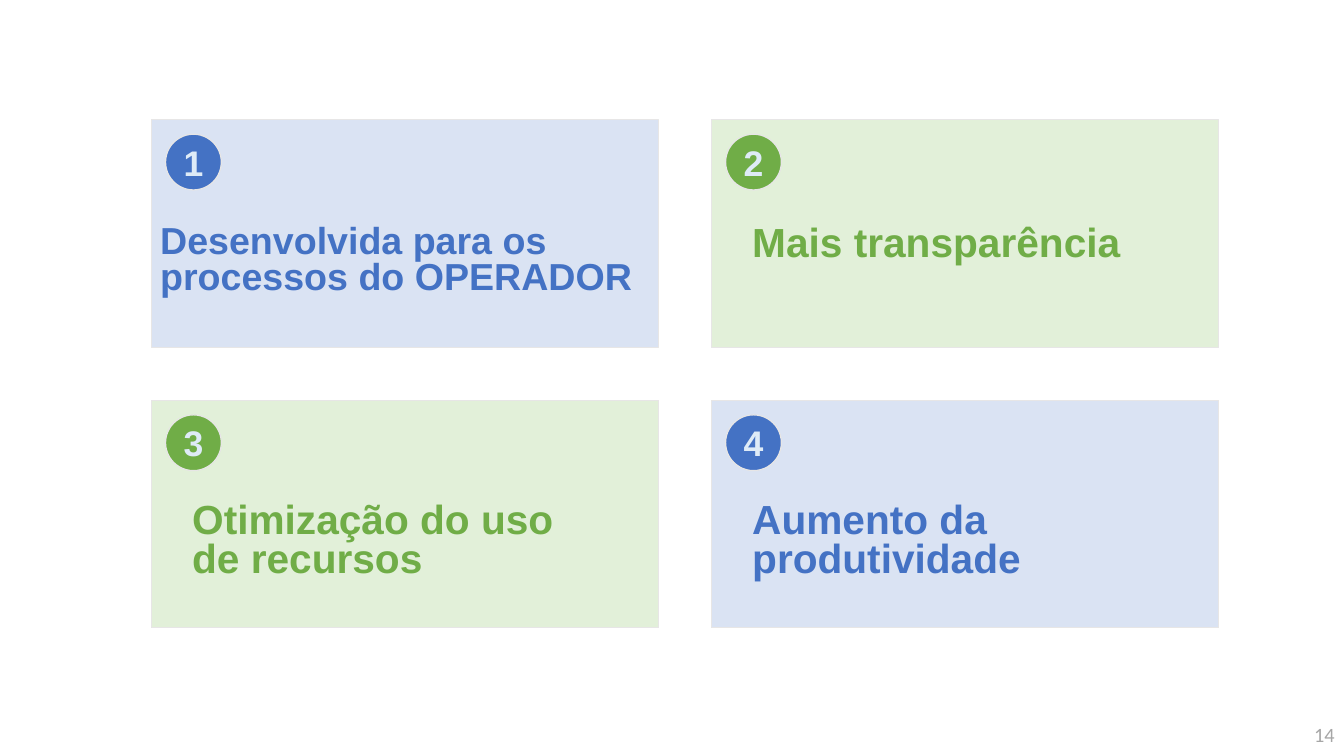
from pptx import Presentation
from pptx.dml.color import RGBColor
from pptx.enum import shapes, text
from pptx.util import Cm, Pt

BLUE = RGBColor(0x44, 0x72, 0xC4)
PALE_BLUE = RGBColor(0xDA, 0xE3, 0xF3)
GREEN = RGBColor(0x70, 0xAD, 0x47)
PALE_GREEN = RGBColor(0xE2, 0xF0, 0xD9)
BORDER = RGBColor(0xE7, 0xE6, 0xE6)
BADGE_TEXT = RGBColor(0xDE, 0xEB, 0xF7)
GREY = RGBColor(0xA6, 0xA6, 0xA6)

LEFT, TOP = Cm(4.2), Cm(3.33)
CARD_WIDTH, CARD_HEIGHT = Cm(14.1), Cm(6.32)
COLUMN_STEP, ROW_STEP = Cm(15.56), Cm(7.8)
BADGE_INSET, BADGE_SIZE = Cm(0.4), Cm(1.55)
LABEL_INSET, LABEL_WIDTH, LABEL_HEIGHT = Cm(0.89), Cm(11.1), Cm(2.46)

BENEFITS = [
    ("Desenvolvida para os processos do OPERADOR", 29.6, 0.8, Cm(0), CARD_WIDTH, Cm(2.82)),
    ("Mais transparência", 32, 0.9, LABEL_INSET, LABEL_WIDTH, Cm(2.73)),
    ("Otimização do uso de recursos", 32, 0.8, LABEL_INSET, LABEL_WIDTH, Cm(2.73)),
    ("Aumento da produtividade", 32, 0.8, LABEL_INSET, LABEL_WIDTH, Cm(2.73)),
]


def write(frame, words, size, color, font="Arial", bold=True,
          align=text.PP_ALIGN.LEFT, spacing=None):
    frame.word_wrap = True
    frame.text = words
    paragraph = frame.paragraphs[0]
    paragraph.alignment = align
    paragraph.line_spacing = spacing
    run_font = paragraph.runs[0].font
    run_font.name = font
    run_font.size = Pt(size)
    run_font.bold = bold
    run_font.color.rgb = color


def add_panel(slide, kind, left, top, width, height, fill):
    panel = slide.shapes.add_shape(kind, left, top, width, height)
    panel.shadow.inherit = False
    panel.fill.solid()
    panel.fill.fore_color.rgb = fill
    panel.line.color.rgb = BORDER
    panel.line.width = Pt(1)
    return panel


def add_badge(slide, number, left, top, color):
    badge = add_panel(slide, shapes.MSO_SHAPE.OVAL, left, top,
                      BADGE_SIZE, BADGE_SIZE, color)
    frame = badge.text_frame
    frame.margin_left = frame.margin_right = 0
    frame.margin_top = frame.margin_bottom = 0
    frame.vertical_anchor = text.MSO_ANCHOR.MIDDLE
    write(frame, str(number), 28, BADGE_TEXT, align=text.PP_ALIGN.CENTER)


def add_benefit(slide, index, benefit):
    words, size, spacing, inset, width, drop = benefit
    row, column = divmod(index, 2)
    left, top = LEFT + column * COLUMN_STEP, TOP + row * ROW_STEP
    color, pale = (BLUE, PALE_BLUE) if row == column else (GREEN, PALE_GREEN)
    add_panel(slide, shapes.MSO_SHAPE.RECTANGLE, left, top,
              CARD_WIDTH, CARD_HEIGHT, pale)
    label = slide.shapes.add_textbox(left + inset, top + drop, width, LABEL_HEIGHT)
    write(label.text_frame, words, size, color, spacing=spacing)
    add_badge(slide, index + 1, left + BADGE_INSET, top + BADGE_INSET, color)


def add_page_number(slide, number):
    page_number = slide.shapes.add_textbox(Cm(28.93), Cm(19.84), Cm(8.4), Cm(1.12))
    page_number.text_frame.vertical_anchor = text.MSO_ANCHOR.MIDDLE
    write(page_number.text_frame, number, 16, GREY, "Calibri", False,
          text.PP_ALIGN.RIGHT)


def main():
    deck = Presentation()
    deck.slide_width, deck.slide_height = Cm(37.34), Cm(21.01)
    slide = deck.slides.add_slide(deck.slide_layouts[6])
    add_page_number(slide, "14")
    for index, benefit in enumerate(BENEFITS):
        add_benefit(slide, index, benefit)
    deck.save("out.pptx")


if __name__ == "__main__":
    main()
